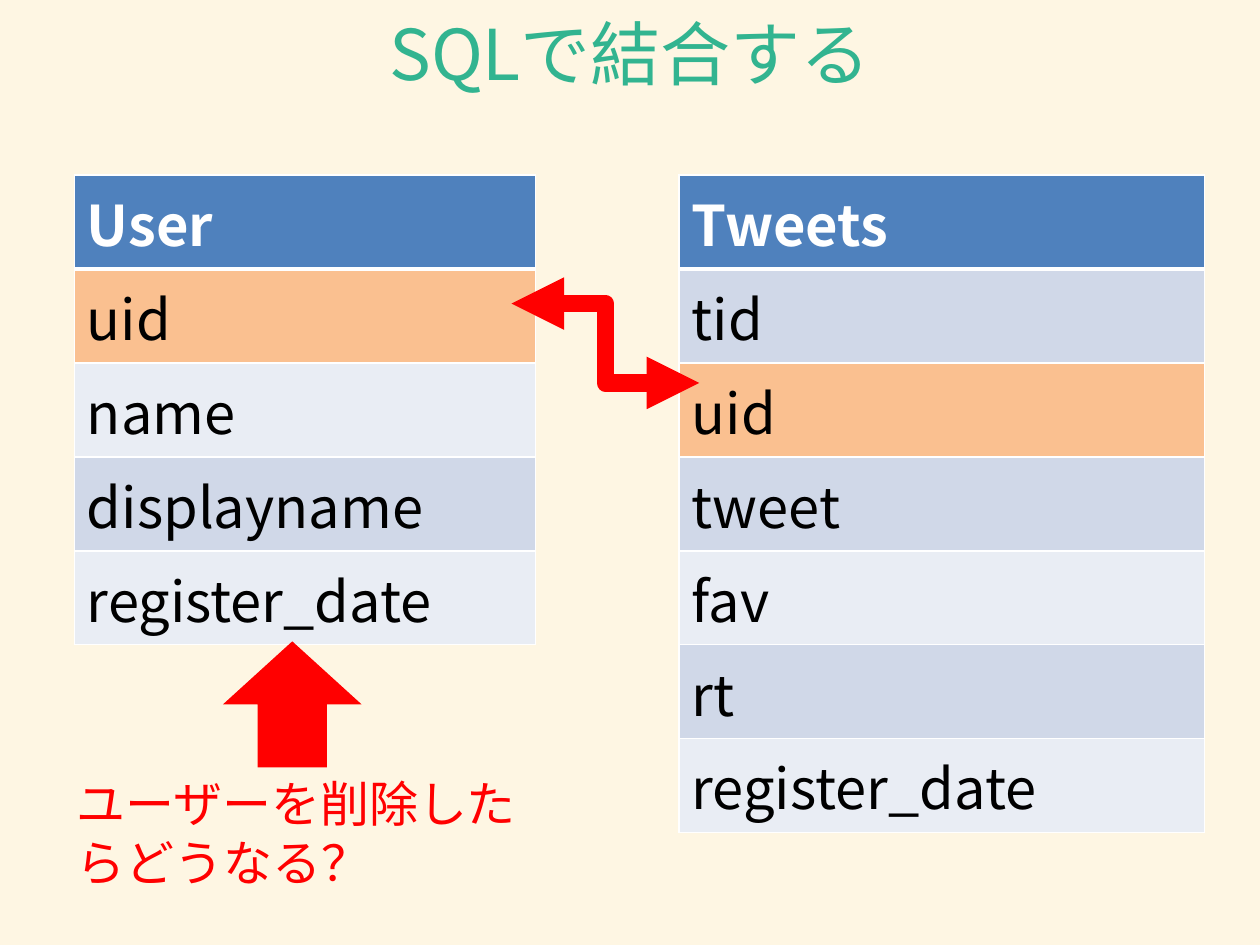
from lxml.etree import SubElement
from pptx import Presentation
from pptx.dml.color import RGBColor
from pptx.enum.shapes import MSO_CONNECTOR as Connector, MSO_SHAPE as Shape
from pptx.enum.text import MSO_ANCHOR as Anchor, MSO_AUTO_SIZE as AutoSize, PP_ALIGN as Align
from pptx.oxml.ns import qn
from pptx.util import Inches, Pt

TITLE = "SQLで結合する"
QUESTION = "ユーザーを削除したらどうなる？"
KEY = "uid"
TABLES = [
    {"left": 5.39, "width": 4.17, "height": 4.43,
     "rows": ["Tweets", "tid", KEY, "tweet", "fav", "rt", "register_date"]},
    {"left": 0.59, "width": 3.66, "height": 3.17,
     "rows": ["User", KEY, "name", "displayname", "register_date"]},
]
TABLE_TOP, HEADER_HEIGHT, FIELD_HEIGHT = 1.39, 0.57, 0.41
COLORS = {"paper": "FEF6E3", "title": "32B490", "header": "4F81BD", "key": "FAC090",
          "odd": "D0D8E8", "even": "E9EDF4", "white": "FFFFFF", "black": "000000",
          "red": "FF0000"}
GOTHIC, LATIN = "Noto Sans CJK JP", "Calibri"


def rgb(name):
    """Return the named colour."""
    return RGBColor.from_string(COLORS[name])


def paint(fill, name):
    """Fill with one named colour."""
    fill.solid()
    fill.fore_color.rgb = rgb(name)


def write(frame, words, color, face, size, bold=False):
    """Put one formatted run of text into a frame."""
    run = frame.paragraphs[0].add_run()
    run.text = words
    for key, value in {"name": face, "size": Pt(size), "bold": bold}.items():
        setattr(run.font, key, value)
    run.font.color.rgb = rgb(color)
    SubElement(run.font._element, qn("a:ea"), typeface=face)


def add_borders(cell, widths):
    """Draw white cell borders, with widths in points by side."""
    properties = cell._tc.get_or_add_tcPr()
    for side, width in widths.items():
        border = SubElement(properties, qn(f"a:ln{side}"), w=str(Pt(width)))
        solid = SubElement(border, qn("a:solidFill"))
        SubElement(solid, qn("a:srgbClr"), val=COLORS["white"])


def add_schema(slide, left, width, height, rows):
    """Add a one-column table listing a header and its fields."""
    frame = slide.shapes.add_table(len(rows), 1, Inches(left), Inches(TABLE_TOP),
                                   Inches(width), Inches(height))
    for index, field in enumerate(rows):
        header = index == 0
        frame.table.rows[index].height = Inches(HEADER_HEIGHT if header else FIELD_HEIGHT)
        cell = frame.table.cell(index, 0)
        add_borders(cell, {"L": 1, "R": 1, "T": 3 if index == 1 else 1,
                           "B": 3 if header else 1})
        band = "odd" if index % 2 else "even"
        paint(cell.fill, "header" if header else "key" if field == KEY else band)
        write(cell.text_frame, field, "white" if header else "black", GOTHIC, 32, header)
    frame.height = Inches(height)


def add_join(slide, start, end):
    """Link the two key fields with a double-headed elbow arrow."""
    join = slide.shapes.add_connector(Connector.ELBOW, *map(Inches, start + end))
    join.line.width = Pt(10)
    join.line.color.rgb = rgb("red")
    for tip in ("headEnd", "tailEnd"):
        SubElement(join.line._get_or_add_ln(), qn(f"a:{tip}"), type="triangle")
    SubElement(join._element.spPr, qn("a:effectLst"))


deck = Presentation()
deck.slide_width, deck.slide_height = Inches(10), Inches(7.5)
slide = deck.slides.add_slide(deck.slide_layouts[5])
paint(slide.background.fill, "paper")

title = slide.shapes.title
for key, value in {"left": 0, "top": 0, "width": 10, "height": 0.84}.items():
    setattr(title, key, Inches(value))
title.text_frame.vertical_anchor = Anchor.MIDDLE
title.text_frame.paragraphs[0].alignment = Align.CENTER
write(title.text_frame, TITLE, "title", GOTHIC, 40)

for schema in TABLES:
    add_schema(slide, **schema)
add_join(slide, (5.55, 3.04), (4.06, 2.41))

pointer = slide.shapes.add_shape(Shape.RIGHT_ARROW, *map(Inches, (1.82, 5.04, 1, 1.1)))
pointer.rotation = 270
pointer.shadow.inherit = False
paint(pointer.fill, "red")
pointer.line.fill.background()

question = slide.shapes.add_textbox(*map(Inches, (0.51, 6.09, 3.94, 1.04))).text_frame
question.word_wrap = True
question.auto_size = AutoSize.SHAPE_TO_FIT_TEXT
write(question, QUESTION, "red", LATIN, 28)

deck.save("out.pptx")
